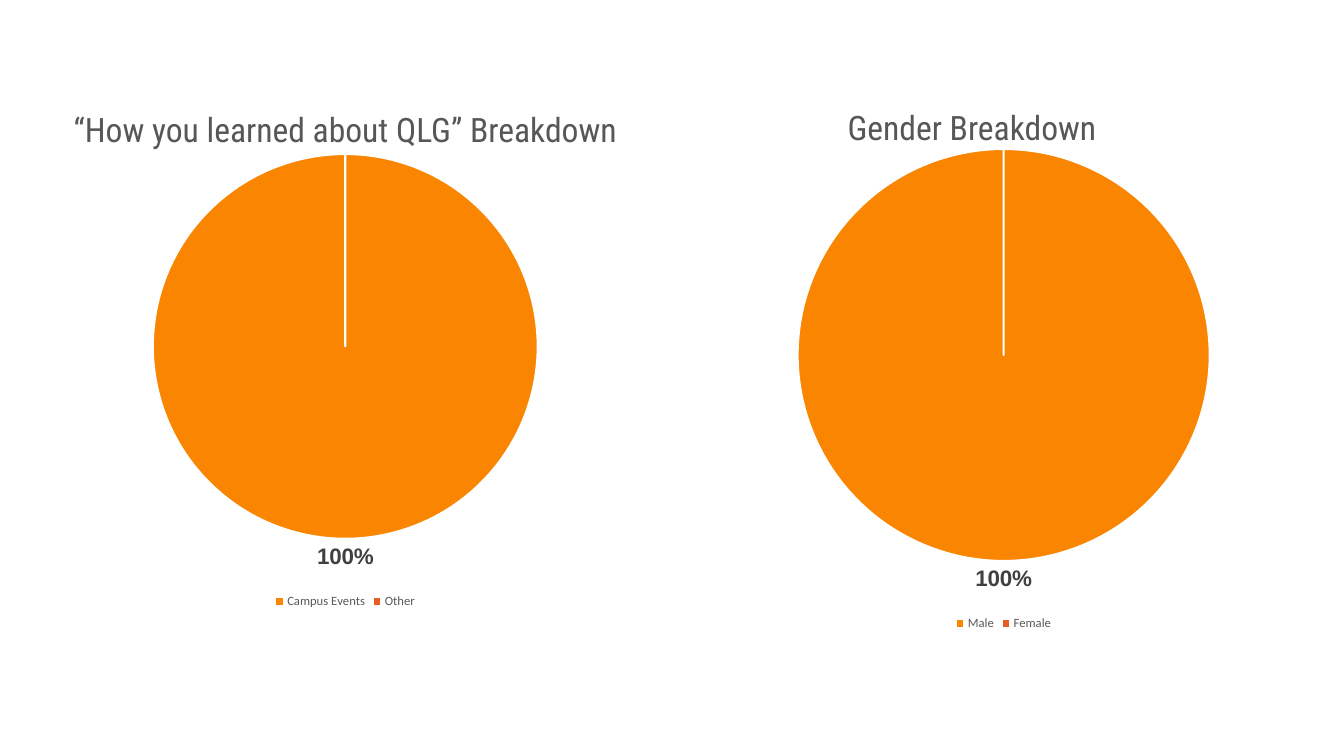
from pptx import Presentation
from pptx.chart.data import CategoryChartData
from pptx.dml.color import RGBColor
from pptx.enum import chart as charts, text
from pptx.oxml import parse_xml
from pptx.oxml.ns import nsdecls
from pptx.util import Inches, Pt

COLORS = {"title": "575756", "legend": "595959", "label": "404040",
          "main": "FA8500", "second": "E75D24", "edge": "FFFFFF", "base": "000000"}


def format_font(font, name, size, color, bold=False):
    font.name, font.size, font.bold = name, Pt(size), bold
    font.color.rgb = RGBColor.from_string(COLORS[color])


def add_title(page, words, place, font, size, color):
    box = page.shapes.add_textbox(*[Inches(n) for n in place])
    frame = box.text_frame
    frame.word_wrap = True
    frame.vertical_anchor = text.MSO_ANCHOR.MIDDLE
    frame.margin_left = frame.margin_right = Inches(0.13)
    frame.margin_top = frame.margin_bottom = Inches(0.13)
    para = frame.paragraphs[0]
    para.alignment = text.PP_ALIGN.CENTER
    para.line_spacing = 1.15
    span = para.add_run()
    span.text = words
    format_font(span.font, font, size, color)


deck = Presentation()
deck.slide_width, deck.slide_height = Inches(13.33), Inches(7.5)
page = deck.slides.add_slide(deck.slide_layouts[6])

# Title, title place, chart place, categories
breakdowns = [
    ("“How you learned about QLG” Breakdown", (-0.57, 0.91, 7.99, 0.69),
     (1.01, 1.39, 4.83, 4.69), ["Campus Events", "Other"]),
    ("Gender Breakdown", (5.03, 0.91, 9.22, 0.64),
     (7.3, 1.34, 5.31, 4.96), ["Male", "Female"]),
]

for title, title_place, chart_place, categories in breakdowns:
    add_title(page, title, title_place, font="Roboto Condensed", size=24, color="title")

    # Pie chart
    data = CategoryChartData()
    data.categories = categories
    data.add_series("Series 1", (100, 0))
    chart = page.shapes.add_chart(charts.XL_CHART_TYPE.PIE,
                                  *[Inches(n) for n in chart_place], data).chart
    chart.has_title = False
    format_font(chart.font, "Calibri", 10, "base")

    # Legend
    chart.has_legend = True
    chart.legend.position = charts.XL_LEGEND_POSITION.BOTTOM
    chart.legend.include_in_layout = False
    format_font(chart.legend.font, "Calibri", 9, "legend")

    # Slices
    plot = chart.plots[0]
    plot.vary_by_categories = True
    series = plot.series[0]
    for index, color in enumerate(("main", "second")):
        slice_format = series.points[index].format
        slice_format.fill.solid()
        slice_format.fill.fore_color.rgb = RGBColor.from_string(COLORS[color])
        slice_format.line.color.rgb = RGBColor.from_string(COLORS["edge"])
        slice_format.line.width = Pt(1.5)

    # Percent labels, none on the empty slice
    labels = series.data_labels
    labels.show_percentage = True
    labels.show_value = False
    labels.number_format = "0%"
    labels.number_format_is_linked = False
    labels.position = charts.XL_LABEL_POSITION.OUTSIDE_END
    format_font(labels.font, "Arial", 16, "label", bold=True)
    labels._element.insert(0, parse_xml(
        f'<c:dLbl {nsdecls("c")}><c:idx val="1"/><c:delete val="1"/></c:dLbl>'))

deck.save("out.pptx")
